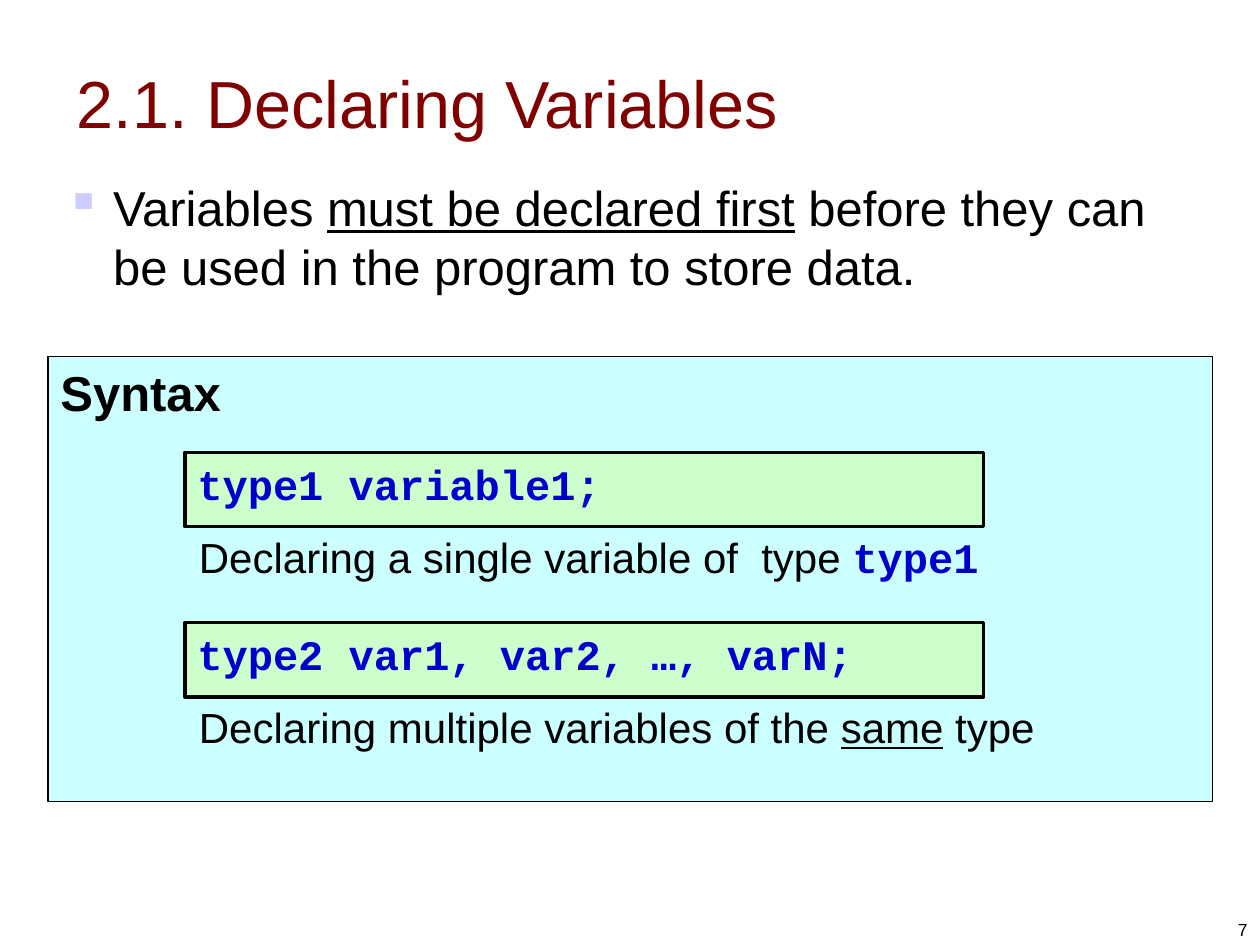
from lxml.etree import SubElement
from pptx import Presentation
from pptx.dml.color import RGBColor
from pptx.enum.shapes import MSO_SHAPE as Preset
from pptx.enum.text import MSO_ANCHOR as Anchor, MSO_AUTO_SIZE as AutoSize, PP_ALIGN as Align
from pptx.oxml.ns import qn
from pptx.util import Cm, Pt

COLORS = {"title": "800000", "text": "000000", "code": "0000CC", "bullet": "CCCCFF",
          "panel": "CCFFFF", "code_box": "CCFFCC", "line": "000000"}

# Run styles: font attributes plus a colour key
STYLES = {
    "title": {"size": Pt(38), "color": "title"},
    "body": {"size": Pt(28)},
    "body_underlined": {"size": Pt(28), "underline": True},
    "heading": {"size": Pt(28), "bold": True},
    "note": {"size": Pt(24)},
    "note_underlined": {"size": Pt(24), "underline": True},
    "code": {"size": Pt(24), "bold": True, "name": "Courier New", "color": "code"},
    "number": {"size": Pt(10)},
}

# Content: runs of (text, style)
TITLE = [("2.1. Declaring Variables", "title")]
RULE = [("Variables ", "body"), ("must be declared first", "body_underlined"),
        (" before they can be used in the program to store data.", "body")]
SYNTAX = [("Syntax", "heading")]
DECLARATIONS = [
    ([("type1 variable1;", "code")],
     [("Declaring a single variable of  type ", "note"), ("type1", "code")], 16.23),
    ([("type2 var1, var2, …, varN;", "code")],
     [("Declaring multiple variables of the ", "note"), ("same", "note_underlined"),
      (" type", "note")], 17.35),
]
PAGE_NUMBER = [("7", "number")]

# Layout in centimetres
CODE_LEFT, CODE_TOP, CODE_WIDTH, CODE_HEIGHT = 3.73, 9.12, 16.1, 1.5
DECLARATION_STEP = 3.43
NOTE_HEIGHT = 1.27

deck = Presentation()
deck.slide_width, deck.slide_height = Cm(25.4), Cm(19.05)
slide = deck.slides.add_slide(deck.slide_layouts[6])


def write(part, runs, **frame_format):
    frame = part.text_frame
    settings = {"word_wrap": True, "vertical_anchor": Anchor.TOP, **frame_format}
    for attribute, value in settings.items():
        setattr(frame, attribute, value)
    paragraph = frame.paragraphs[0]
    paragraph.alignment = Align.LEFT
    for text, style in runs:
        run = paragraph.add_run()
        run.text = text
        font_format = {"name": "Arial", "color": "text", **STYLES[style]}
        run.font.color.rgb = RGBColor.from_string(COLORS[font_format.pop("color")])
        for attribute, value in font_format.items():
            setattr(run.font, attribute, value)
    return paragraph


def add_text(box, runs, **frame_format):
    return write(slide.shapes.add_textbox(*map(Cm, box)), runs, **frame_format)


def add_box(box, fill, line_width, runs):
    panel = slide.shapes.add_shape(Preset.RECTANGLE, *map(Cm, box))
    panel.shadow.inherit = False
    panel.fill.solid()
    panel.fill.fore_color.rgb = RGBColor.from_string(COLORS[fill])
    panel.line.color.rgb = RGBColor.from_string(COLORS["line"])
    panel.line.width = Pt(line_width)
    write(panel, runs)


# Title
add_text((1.3, 0.46, 22.86, 3.18), TITLE, vertical_anchor=Anchor.MIDDLE)

# Bulleted rule
rule = add_text((1.07, 3.45, 23.14, 2.67), RULE)
rule.space_before = Pt(7)
rule_format = rule._p.get_or_add_pPr()
rule_format.set("marL", str(Cm(0.96)))
rule_format.set("indent", str(Cm(-0.96)))
bullet_color = SubElement(rule_format, qn("a:buClr"))
SubElement(bullet_color, qn("a:srgbClr"), val=COLORS["bullet"])
SubElement(rule_format, qn("a:buChar"), char="▪")

# Syntax panel
add_box((0.97, 7.19, 23.47, 8.97), "panel", 0.75, SYNTAX)

# Declarations: code box with its explanation underneath
for index, (code, note, note_width) in enumerate(DECLARATIONS):
    top = CODE_TOP + index * DECLARATION_STEP
    add_box((CODE_LEFT, top, CODE_WIDTH, CODE_HEIGHT), "code_box", 2, code)
    add_text((CODE_LEFT + 0.03, top + CODE_HEIGHT - 0.03, note_width, NOTE_HEIGHT), note,
             word_wrap=False, auto_size=AutoSize.SHAPE_TO_FIT_TEXT)

# Page number
page_number = add_text((19.48, 17.81, 5.92, 1.27), PAGE_NUMBER, vertical_anchor=Anchor.BOTTOM)
page_number.alignment = Align.RIGHT

deck.save("out.pptx")
